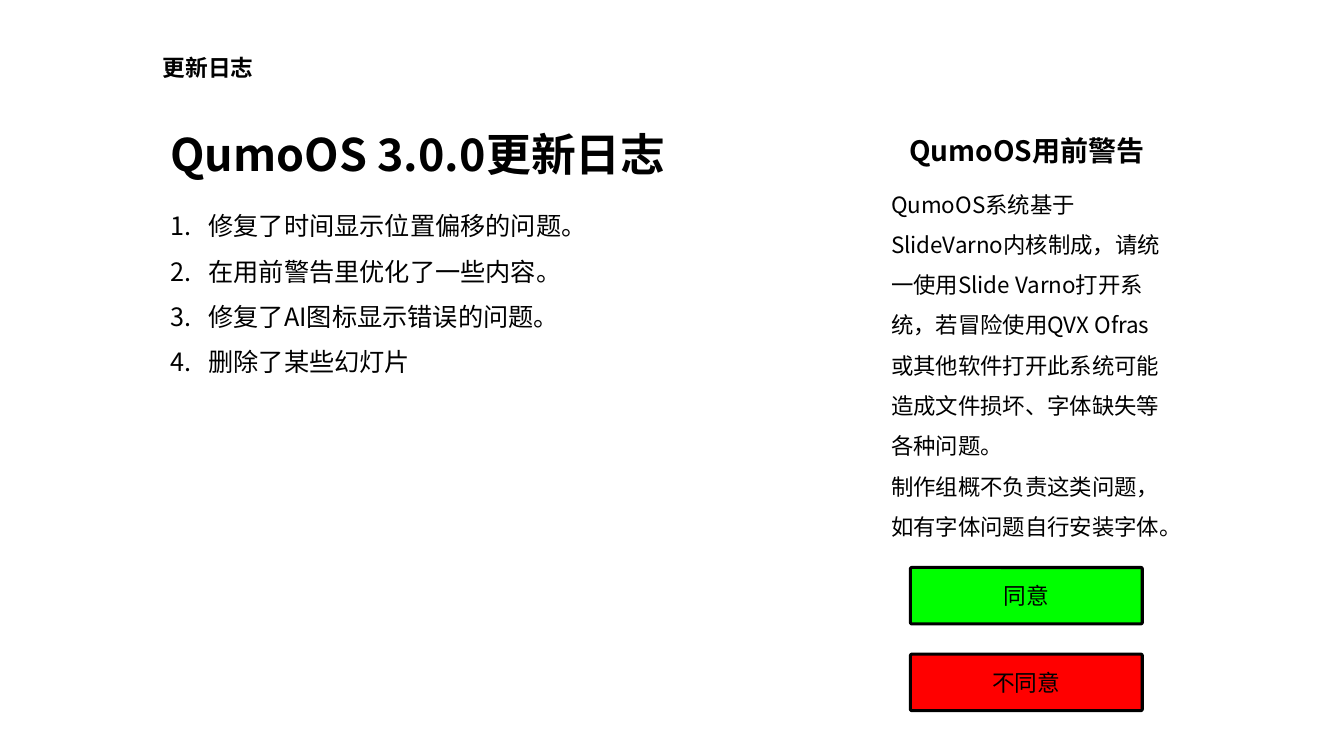
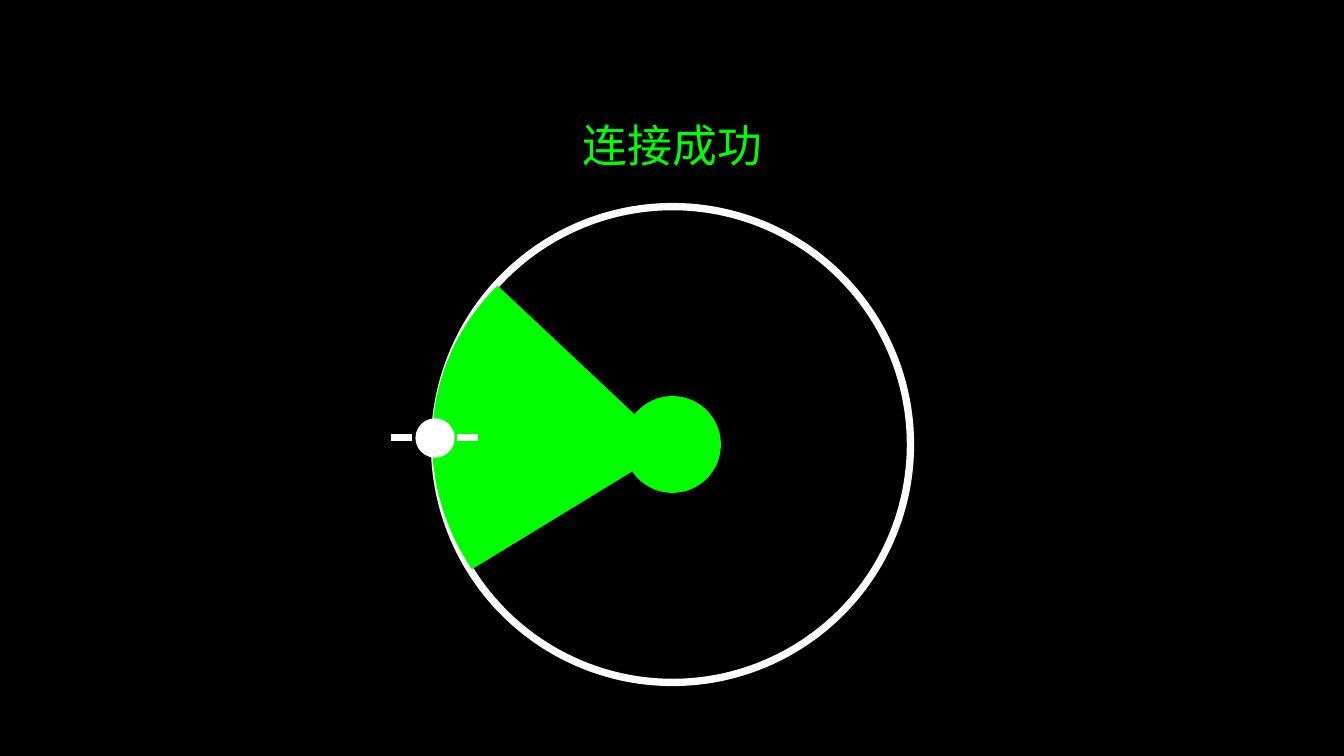
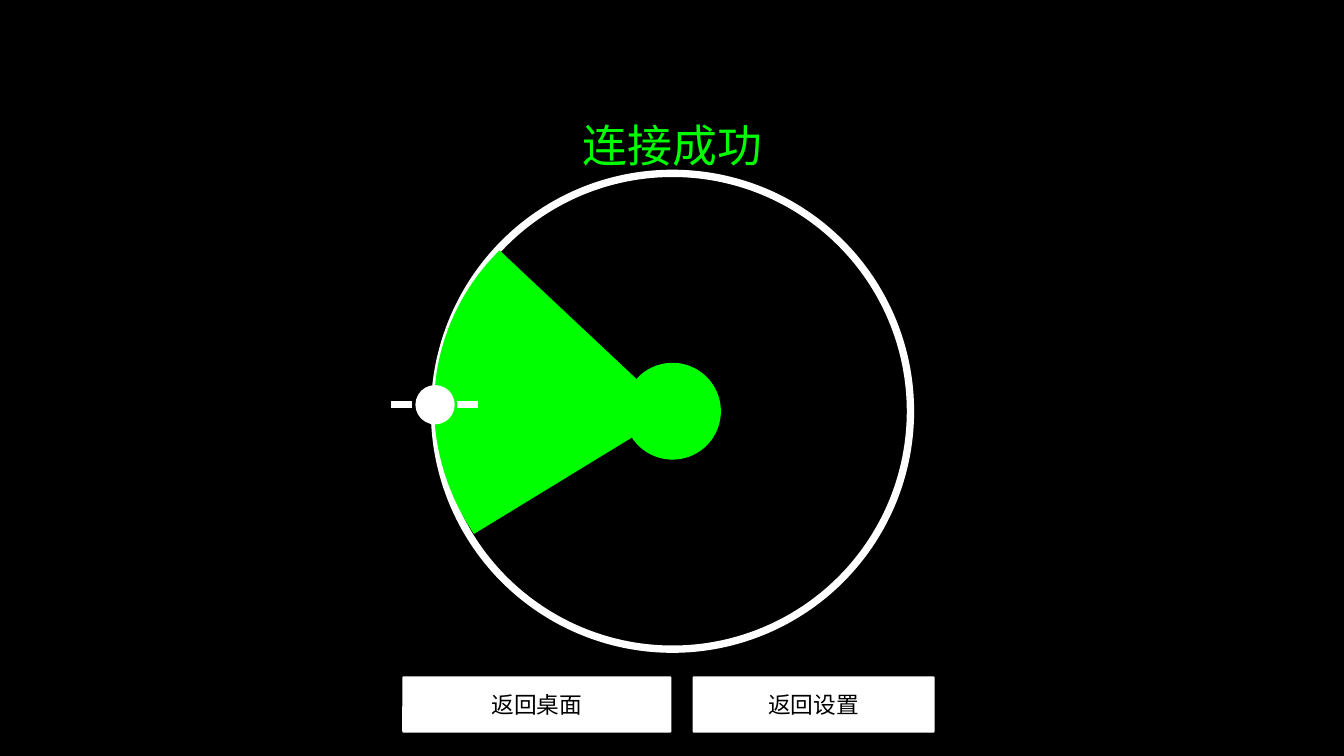
"""Build the update log slide and the two connection radar slides."""
import pptx
import pptx.dml.color
import pptx.enum.shapes
import pptx.enum.text
import pptx.oxml.ns
import pptx.util
from lxml import etree

Inches = pptx.util.Inches
Pt = pptx.util.Pt
SHAPE = pptx.enum.shapes.MSO_SHAPE
ALIGN = pptx.enum.text.PP_ALIGN
ANCHOR = pptx.enum.text.MSO_ANCHOR
qn = pptx.oxml.ns.qn

FONT = "Noto Sans CJK SC"
COLORS = {"white": "FFFFFF", "black": "000000", "green": "00FF00", "red": "FF0000"}
CORNER = 0.028

HEADER = "更新日志"
LOG_TITLE = "QumoOS 3.0.0更新日志"
CHANGES = [
    "修复了时间显示位置偏移的问题。",
    "在用前警告里优化了一些内容。",
    "修复了AI图标显示错误的问题。",
    "删除了某些幻灯片",
]
WARNING_TITLE = "QumoOS用前警告"
WARNING = [
    "QumoOS系统基于SlideVarno内核制成，请统一使用Slide Varno打开系统，"
    "若冒险使用QVX Ofras或其他软件打开此系统可能造成文件损坏、字体缺失等各种问题。",
    "制作组概不负责这类问题，如有字体问题自行安装字体。",
]
HEADER_BOX = (1.51, 0.34, 10.12, 0.65)
PANELS = [(8.74, 5.46, 2.89, 1.7), (1.51, 1.12, 7.14, 6.05), (8.74, 1.16, 2.89, 4.24)]
CHOICES = [("同意", "green", (9.03, 5.63, 2.3, 0.56)),
           ("不同意", "red", (9.03, 6.49, 2.3, 0.56))]

STATUS = "连接成功"
RETURNS = [("返回桌面", "white", (3.99, 6.71, 2.67, 0.56)),
           ("返回设置", "white", (6.87, 6.71, 2.4, 0.56))]
RADARS = [
    {"top": 2.05, "sweep": (4.39, 2.07), "buttons": []},
    {"top": 1.72, "sweep": (4.41, 1.72), "buttons": RETURNS},
]
RING_LEFT, RING_SIZE, HUB_SIZE = 4.31, 4.72, 0.96
SWEEP_SIZE, SWEEP_ANGLES, SWEEP_TURN = (4.52, 4.75), (220.49, 295.11), 288.1
DOT_LEFT, DOT_SIZE, DOT_DROP = 4.12, 0.39, 2.1
TICKS = [(3.88, 4.09), (4.53, 4.74)]


def rgb(color):
    return pptx.dml.color.RGBColor.from_string(COLORS[color])


def inches(box):
    return [Inches(length) for length in box]


def write(frame, lines, size, color="black", bold=False, align=ALIGN.LEFT,
          anchor=ANCHOR.TOP, wrap=True, spacing=1.0):
    frame_format = {"word_wrap": wrap, "vertical_anchor": anchor,
                    "auto_size": pptx.enum.text.MSO_AUTO_SIZE.NONE}
    for key, value in frame_format.items():
        setattr(frame, key, value)
    for index, line in enumerate(lines):
        paragraph = frame.add_paragraph() if index else frame.paragraphs[0]
        paragraph.alignment = align
        paragraph.line_spacing = spacing
        run = paragraph.add_run()
        run.text = line
        for key, value in {"name": FONT, "size": Pt(size), "bold": bold}.items():
            setattr(run.font, key, value)
        run.font.color.rgb = rgb(color)
        etree.SubElement(run.font._element, qn("a:ea"), typeface=FONT)


def add_text(slide, box, lines, size, **style):
    frame = slide.shapes.add_textbox(*inches(box)).text_frame
    write(frame, lines, size, **style)
    return frame


def set_title(slide, box, text, **style):
    title = slide.shapes.title
    title.left, title.top, title.width, title.height = inches(box)
    write(title.text_frame, [text], 32, **style)
    slide.shapes.element.append(title.element)


def add_shape(shapes, kind, box, fill=None, line=None, width=0):
    shape = shapes.add_shape(kind, *inches(box))
    shape.shadow.inherit = False
    for part, color in ((shape.fill, fill), (shape.line.fill, line)):
        if color:
            part.solid()
            part.fore_color.rgb = rgb(color)
        else:
            part.background()
    if line:
        shape.line.width = Pt(width)
    if kind == SHAPE.ROUNDED_RECTANGLE:
        shape.adjustments[0] = CORNER
    return shape


def add_panel(slide, box):
    panel = add_shape(slide.shapes, SHAPE.ROUNDED_RECTANGLE, box, "white")
    etree.SubElement(panel.element.spPr.find(".//" + qn("a:srgbClr")),
                     qn("a:alpha"), val="80000")
    return panel


def add_button(slide, label, fill, box, line=None):
    button = add_shape(slide.shapes, SHAPE.ROUNDED_RECTANGLE, box, fill, line, 2.25)
    write(button.text_frame, [label], 16.2, align=ALIGN.CENTER, anchor=ANCHOR.MIDDLE)


def number(frame):
    for paragraph in frame.paragraphs:
        properties = paragraph._p.get_or_add_pPr()
        properties.set("marL", str(Inches(0.38)))
        properties.set("indent", str(-Inches(0.38)))
        etree.SubElement(properties, qn("a:buAutoNum"), type="arabicPeriod")


def add_slide(deck, background):
    slide = deck.slides.add_slide(deck.slide_layouts[5])
    slide.background.fill.solid()
    slide.background.fill.fore_color.rgb = rgb(background)
    return slide


def build_log(deck):
    slide = add_slide(deck, "white")
    header = add_panel(slide, HEADER_BOX)
    write(header.text_frame, [HEADER], 16.2, bold=True, anchor=ANCHOR.MIDDLE)
    for box in PANELS:
        add_panel(slide, box)
    set_title(slide, (1.59, 1.21, 6.9, 0.64), LOG_TITLE, bold=True)
    number(add_text(slide, (1.59, 1.89, 6.9, 1.87), CHANGES, 18, spacing=1.5))
    add_text(slide, (8.74, 1.28, 2.89, 0.44), [WARNING_TITLE], 20,
             bold=True, align=ALIGN.CENTER)
    add_text(slide, (8.74, 1.71, 2.89, 3.69), WARNING, 16, spacing=1.5)
    for label, fill, box in CHOICES:
        add_button(slide, label, fill, box, "black")


def add_marker(slide, top):
    marker = slide.shapes.add_group_shape().shapes
    add_shape(marker, SHAPE.FLOWCHART_CONNECTOR,
              (DOT_LEFT, top, DOT_SIZE, DOT_SIZE), "white")
    middle = top + DOT_SIZE / 2
    for start, end in TICKS:
        tick = marker.add_connector(pptx.enum.shapes.MSO_CONNECTOR.STRAIGHT,
                                    *inches((start, middle, end, middle)))
        tick.line.color.rgb = rgb("white")
        tick.line.width = Pt(5)
        etree.SubElement(tick.element.spPr, qn("a:effectLst"))


def build_radar(deck, top, sweep, buttons):
    slide = add_slide(deck, "black")
    set_title(slide, (5.67, 1.12, 2, 0.64), STATUS, color="green",
              align=ALIGN.CENTER, wrap=False)
    add_shape(slide.shapes, SHAPE.FLOWCHART_CONNECTOR,
              (RING_LEFT, top, RING_SIZE, RING_SIZE), line="white", width=5.25)
    inset = (RING_SIZE - HUB_SIZE) / 2
    add_shape(slide.shapes, SHAPE.FLOWCHART_CONNECTOR,
              (RING_LEFT + inset, top + inset, HUB_SIZE, HUB_SIZE), "green")
    beam = add_shape(slide.shapes, SHAPE.PIE, sweep + SWEEP_SIZE, "green")
    beam.rotation = SWEEP_TURN
    for index, angle in enumerate(SWEEP_ANGLES):
        beam.adjustments[index] = angle * 60000 / 100000
    add_marker(slide, top + DOT_DROP)
    for label, fill, box in buttons:
        add_button(slide, label, fill, box)


def main():
    deck = pptx.Presentation()
    deck.slide_width, deck.slide_height = Inches(13.33), Inches(7.5)
    build_log(deck)
    for radar in RADARS:
        build_radar(deck, **radar)
    deck.save("out.pptx")


if __name__ == "__main__":
    main()
